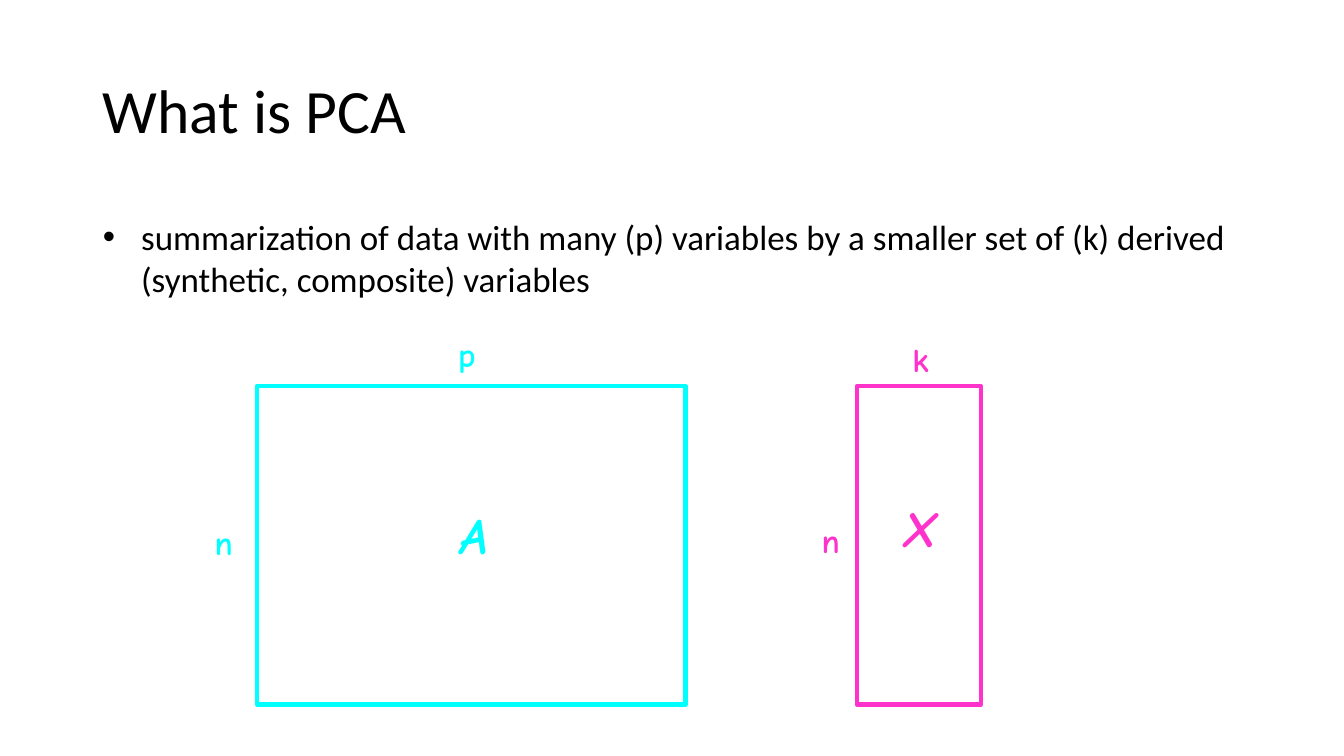
from pptx import Presentation
from pptx.dml.color import RGBColor
from pptx.enum.shapes import MSO_SHAPE
from pptx.enum.text import MSO_ANCHOR, MSO_AUTO_SIZE, PP_ALIGN
from pptx.util import Inches, Pt

BLACK = RGBColor(0x00, 0x00, 0x00)
CYAN = RGBColor(0x00, 0xFF, 0xFF)
PINK = RGBColor(0xFF, 0x33, 0xCC)

TITLE = "What is PCA"
SUMMARY = ("summarization of data with many (p) variables by a smaller set "
           "of (k) derived (synthetic, composite) variables")

MATRIX_TOP, MATRIX_HEIGHT = 3.83, 3.16
# colour, left, width, labels as (text, left, top, width, height, size, italic)
MATRICES = [
    (CYAN, 2.55, 4.25, [("n", 2.03, 5.13, 0.37, 0.5, 24, False),
                        ("p", 4.44, 3.26, 0.38, 0.5, 24, False),
                        ("A", 4.43, 4.95, 0.56, 0.7, 36, True)]),
    (PINK, 8.5, 1.23, [("n", 8.05, 5.11, 0.37, 0.5, 24, False),
                       ("k", 8.94, 3.31, 0.38, 0.5, 24, False),
                       ("X", 8.85, 4.88, 0.56, 0.7, 36, True)]),
]


def place(sp, left, top, width, height):
    sp.left, sp.top = Inches(left), Inches(top)
    sp.width, sp.height = Inches(width), Inches(height)


def write(tf, text, font, size, color):
    p = tf.paragraphs[0]
    r = p.add_run()
    r.text = text
    r.font.name, r.font.size = font, Pt(size)
    r.font.color.rgb = color
    return p, r


def add_label(group, color, text, left, top, width, height, size, italic):
    box = group.shapes.add_textbox(Inches(left), Inches(top),
                                   Inches(width), Inches(height))
    box.text_frame.word_wrap = False
    box.text_frame.auto_size = MSO_AUTO_SIZE.SHAPE_TO_FIT_TEXT
    p, r = write(box.text_frame, text, "Comic Neue", size, color)
    p.alignment = PP_ALIGN.CENTER
    r.font.bold, r.font.italic = True, italic


def add_matrix(slide, color, left, width, labels):
    group = slide.shapes.add_group_shape()
    rect = group.shapes.add_shape(MSO_SHAPE.RECTANGLE, Inches(left), Inches(MATRIX_TOP),
                                  Inches(width), Inches(MATRIX_HEIGHT))
    rect.shadow.inherit = False
    rect.fill.background()
    rect.line.color.rgb = color
    rect.line.width = Pt(3)
    for label in labels:
        add_label(group, color, *label)


prs = Presentation()
prs.slide_width, prs.slide_height = Inches(13.33), Inches(7.5)
slide = prs.slides.add_slide(prs.slide_layouts[1])

title = slide.shapes.title
place(title, 0.92, 0.4, 11.5, 1.45)
title.text_frame.auto_size = MSO_AUTO_SIZE.NONE
title.text_frame.vertical_anchor = MSO_ANCHOR.MIDDLE
p, r = write(title.text_frame, TITLE, "Calibri", 44, BLACK)
p.alignment = PP_ALIGN.LEFT
p.line_spacing = 0.9

body = slide.placeholders[1]
place(body, 0.92, 2.09, 11.59, 0.94)
body.text_frame.auto_size = MSO_AUTO_SIZE.SHAPE_TO_FIT_TEXT
p, r = write(body.text_frame, SUMMARY, "Calibri", 25, BLACK)
p.space_before = Pt(0)
pPr = p._p.get_or_add_pPr()
pPr.set("marL", str(Inches(0.38)))
pPr.set("indent", str(-Inches(0.38)))

for matrix in MATRICES:
    add_matrix(slide, *matrix)

prs.save("out.pptx")
